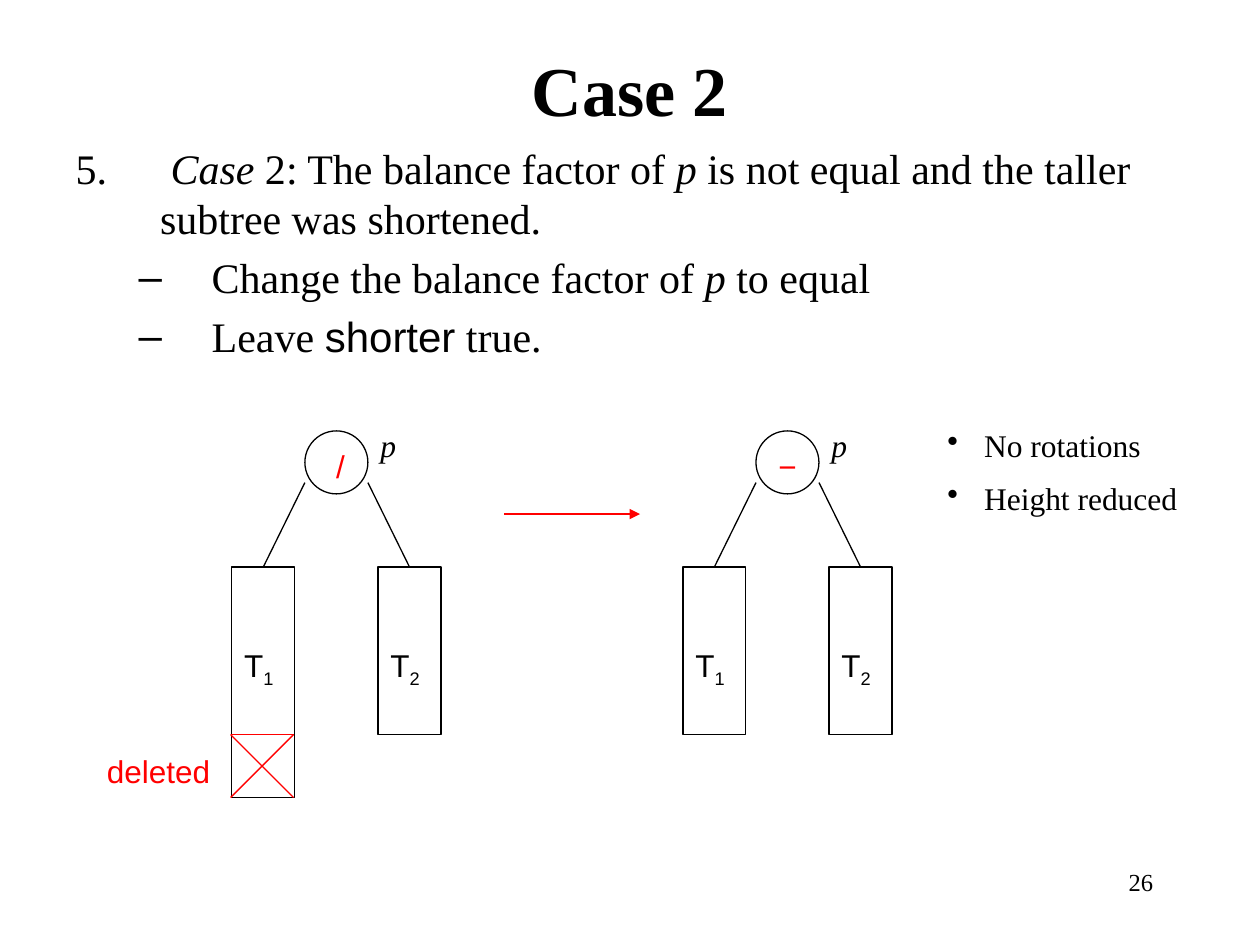
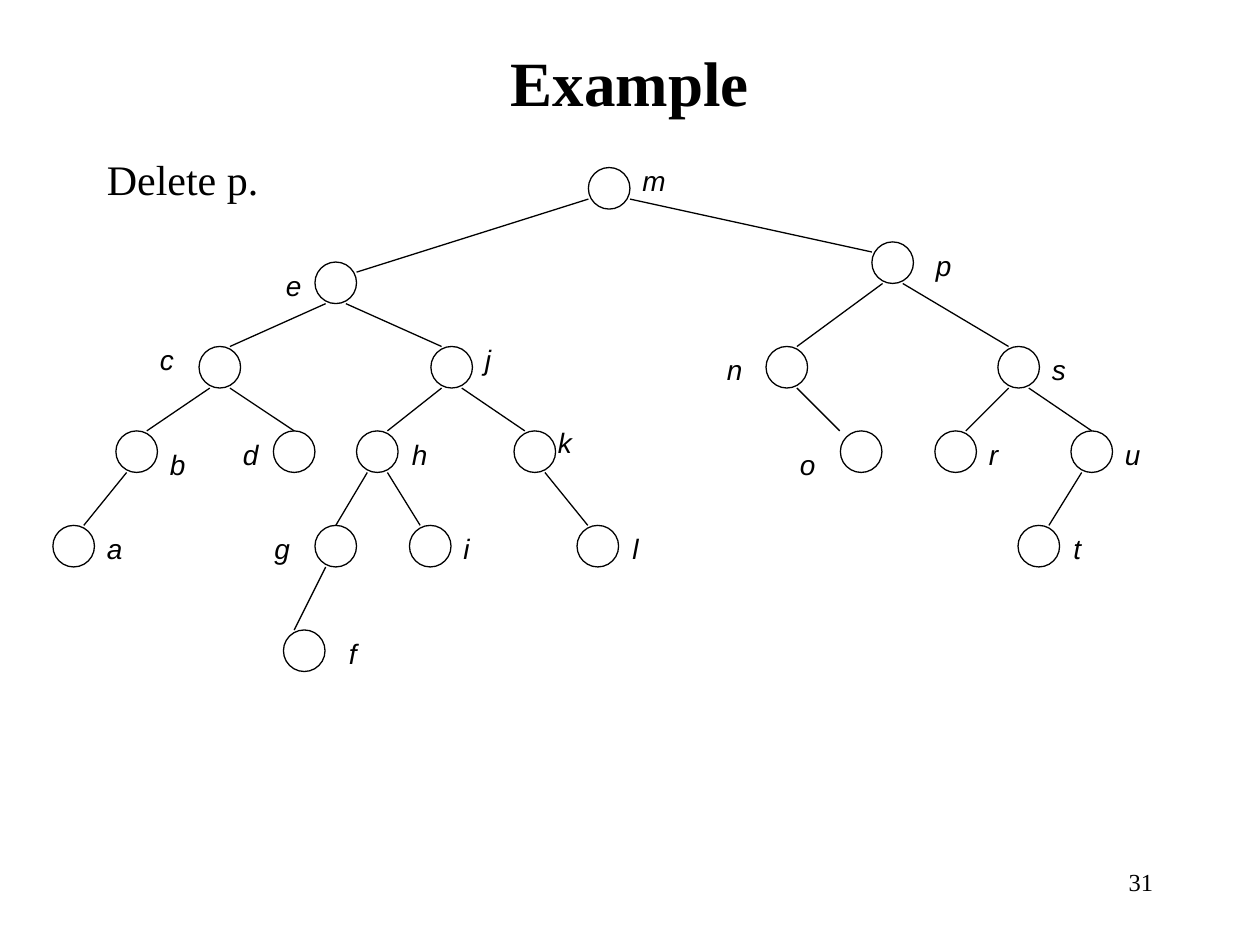
from pptx import Presentation
from pptx.dml.color import RGBColor
from pptx.enum.shapes import MSO_CONNECTOR, MSO_SHAPE
from pptx.enum.text import MSO_ANCHOR, MSO_AUTO_SIZE, PP_ALIGN
from pptx.oxml.ns import qn
from pptx.util import Inches, Pt
from lxml.etree import SubElement

BLACK = RGBColor(0x00, 0x00, 0x00)
RED = RGBColor(0xFF, 0x00, 0x00)
SERIF = "Times New Roman"
SANS = "Arial"
TITLE_AND_BODY, TITLE_ONLY = 1, 5

# Body paragraphs: level, left margin, hanging indent, runs as (text, style)
CASE_BODY = [
    (0, 0.67, 0.67, [
        (" ", ""), ("Case", "italic"), (" 2: The balance factor of ", ""), ("p", "italic"),
        (" is not equal and the taller subtree was shortened.", "")]),
    (1, 1.08, 0.58, [
        ("Change the balance factor of ", ""), ("p", "italic"), (" to equal", "")]),
    (1, 1.08, 0.58, [("Leave ", ""), ("shorter", "sans"), (" true.", "")]),
]
FIRST_NUMBER = 5
REMARKS = [" No rotations", " Height reduced"]

# Left edge of node p, balance sign, heights of T1 and T2
STATES = [
    (2.42, " /", (1.83, 1.33)),
    (6.00, "−", (1.33, 1.33)),
]
NODE_TOP, NODE_SIZE = 3.42, 0.5
SUBTREE_TOP, SUBTREE_WIDTH, SUBTREE_SHIFT = 4.5, 0.5, 0.58

# Tree nodes: name, parent, (left, top), (label left, label top)
TREE = [
    ("m", None, (4.67, 1.33), (5.00, 1.25)),
    ("e", "m", (2.50, 2.08), (2.17, 2.08)),
    ("p", "m", (6.92, 1.92), (7.33, 1.92)),
    ("c", "e", (1.58, 2.75), (1.17, 2.67)),
    ("j", "e", (3.42, 2.75), (3.75, 2.67)),
    ("n", "p", (6.08, 2.75), (5.67, 2.75)),
    ("s", "p", (7.92, 2.75), (8.25, 2.75)),
    ("b", "c", (0.92, 3.42), (1.25, 3.50)),
    ("d", "c", (2.17, 3.42), (1.83, 3.42)),
    ("h", "j", (2.83, 3.42), (3.17, 3.42)),
    ("k", "j", (4.08, 3.42), (4.33, 3.33)),
    ("o", "n", (6.67, 3.42), (6.25, 3.50)),
    ("r", "s", (7.42, 3.42), (7.75, 3.42)),
    ("u", "s", (8.50, 3.42), (8.83, 3.42)),
    ("a", "b", (0.42, 4.17), (0.75, 4.17)),
    ("g", "h", (2.50, 4.17), (2.08, 4.17)),
    ("i", "h", (3.25, 4.17), (3.58, 4.17)),
    ("l", "k", (4.58, 4.17), (4.92, 4.17)),
    ("t", "u", (8.08, 4.17), (8.42, 4.17)),
    ("f", "g", (2.25, 5.00), (2.67, 5.00)),
]
TREE_NODE = 0.33
EDGE_INSET = 0.08
# Distance from a child's centre towards its parent, where not EDGE_INSET
EDGE_ENDS = {"d": 0, "u": 0, "g": 0, "o": 0.17, "f": -0.08}


def place(shape, left, top, width, height):
    shape.left, shape.top = Inches(left), Inches(top)
    shape.width, shape.height = Inches(width), Inches(height)


def format_run(run, size, font=SERIF, color=BLACK, bold=None, italic=None):
    run.font.size = Pt(size)
    run.font.name = font
    run.font.color.rgb = color
    run.font.bold = bold
    run.font.italic = italic


def add_text(slide, box, lines, size, **style):
    """Add a text box with one paragraph per line and half a line before each."""
    shape = slide.shapes.add_textbox(*map(Inches, box))
    text_frame = shape.text_frame
    text_frame.word_wrap = True
    text_frame.text = "\n".join(lines)
    for paragraph in text_frame.paragraphs:
        properties = paragraph._p.get_or_add_pPr()
        spacing = SubElement(properties, qn("a:spcBef"))
        SubElement(spacing, qn("a:spcPct")).set("val", "50000")
        for run in paragraph.runs:
            format_run(run, size, **style)
    return text_frame


def set_indent(paragraph, margin, hanging):
    properties = paragraph._p.get_or_add_pPr()
    properties.set("marL", str(Inches(margin)))
    properties.set("indent", str(-Inches(hanging)))
    return properties


def add_outline(slide, kind, left, top, width, height):
    shape = slide.shapes.add_shape(kind, *map(Inches, (left, top, width, height)))
    shape.shadow.inherit = False
    shape.fill.background()
    shape.line.color.rgb = BLACK
    shape.line.width = Pt(0.75)


def add_line(slide, start, end, color=BLACK, arrow=False):
    line = slide.shapes.add_connector(MSO_CONNECTOR.STRAIGHT, *map(Inches, start + end))
    line.line.color.rgb = color
    line.line.width = Pt(0.75)
    if arrow:
        SubElement(line.line._get_or_add_ln(), qn("a:tailEnd")).set("type", "triangle")
    SubElement(line._element.spPr, qn("a:effectLst"))


def add_slide(presentation, layout, title, title_size, title_height, number):
    slide = presentation.slides.add_slide(presentation.slide_layouts[layout])
    place(slide.shapes.title, 0.75, 0.42, 8.5, title_height)
    text_frame = slide.shapes.title.text_frame
    text_frame.text = title
    text_frame.auto_size = MSO_AUTO_SIZE.NONE
    text_frame.vertical_anchor = MSO_ANCHOR.MIDDLE
    paragraph = text_frame.paragraphs[0]
    paragraph.alignment = PP_ALIGN.CENTER
    format_run(paragraph.runs[0], title_size, bold=True)
    footer = add_text(slide, (7.17, 6.83, 2.08, 0.5), [number], 14)
    footer.paragraphs[0].alignment = PP_ALIGN.RIGHT
    return slide


def fill_body(body):
    place(body, 0.5, 1.08, 9, 1.92)
    text_frame = body.text_frame
    text_frame.auto_size = MSO_AUTO_SIZE.NONE
    for index, (level, margin, hanging, runs) in enumerate(CASE_BODY):
        paragraph = text_frame.add_paragraph() if index else text_frame.paragraphs[0]
        paragraph.level = level
        properties = set_indent(paragraph, margin, hanging)
        if level == 0:
            numbering = SubElement(properties, qn("a:buAutoNum"))
            numbering.set("type", "arabicPeriod")
            numbering.set("startAt", str(FIRST_NUMBER))
        else:
            SubElement(properties, qn("a:buChar")).set("char", "–")
        for text, style in runs:
            run = paragraph.add_run()
            run.text = text
            format_run(run, 24, font=SANS if style == "sans" else SERIF,
                       italic=style == "italic")


def draw_state(slide, left, balance, heights):
    """Draw node p with its balance sign and the two subtrees below it."""
    add_outline(slide, MSO_SHAPE.OVAL, left, NODE_TOP, NODE_SIZE, NODE_SIZE)
    add_text(slide, (left + 0.08, 3.5, 0.42, 0.4), [balance], 18, font=SANS, color=RED)
    add_text(slide, (left + NODE_SIZE, 3.33, 0.58, 0.4), ["p"], 18, italic=True)
    for index, height in enumerate(heights):
        subtree_left = left + (2 * index - 1) * SUBTREE_SHIFT
        add_outline(slide, MSO_SHAPE.RECTANGLE, subtree_left, SUBTREE_TOP,
                    SUBTREE_WIDTH, height)
        add_line(slide, (left + index * NODE_SIZE, 3.83),
                 (subtree_left + SUBTREE_WIDTH / 2, SUBTREE_TOP))
        label = add_text(slide, (subtree_left, 5.08, 0.5, 0.4), ["T"], 18, font=SANS)
        subscript = label.paragraphs[0].add_run()
        subscript.text = str(index + 1)
        format_run(subscript, 18, font=SANS)
        subscript.font._element.set("baseline", "-25000")


def draw_deletion(slide):
    left, right, top, bottom = 1.83, 2.33, 5.83, 6.33
    add_line(slide, (left, top), (right, top), RED)
    add_line(slide, (left, top), (right, bottom), RED)
    add_line(slide, (right, top), (left, bottom), RED)
    add_text(slide, (0.75, 5.92, 1.17, 0.4), ["deleted"], 18, font=SANS, color=RED)


def add_remarks(slide):
    remarks = add_text(slide, (7.42, 3.33, 2.17, 0.85), REMARKS, 18)
    for paragraph in remarks.paragraphs:
        properties = set_indent(paragraph, 0.23, 0.23)
        SubElement(properties, qn("a:buChar")).set("char", "•")


def draw_edge(slide, name, parent, child, from_root):
    """Join two nodes: the root from its sides, the others from below."""
    (parent_left, parent_top), (child_left, child_top) = parent, child
    side = 1 if child_left > parent_left else -1
    half = TREE_NODE / 2
    if from_root:
        start_shift, end_shift = half, half
        start_y, end_y = parent_top + 0.25, child_top + EDGE_INSET
    else:
        start_shift, end_shift = EDGE_INSET, EDGE_ENDS.get(name, EDGE_INSET)
        start_y, end_y = parent_top + TREE_NODE, child_top
    add_line(slide, (parent_left + half + side * start_shift, start_y),
             (child_left + half - side * end_shift, end_y))


def draw_tree(slide):
    positions = {name: position for name, _, position, _ in TREE}
    root = TREE[0][0]
    for name, parent, position, label_position in TREE:
        add_outline(slide, MSO_SHAPE.OVAL, *position, TREE_NODE, TREE_NODE)
        if parent:
            draw_edge(slide, name, positions[parent], position, parent == root)
        add_text(slide, (*label_position, 0.58, 0.37), [name], 16, font=SANS, italic=True)


def build_case_slide(presentation):
    slide = add_slide(presentation, TITLE_AND_BODY, "Case 2", 40, 0.57, "26")
    fill_body(slide.placeholders[1])
    for state in STATES:
        draw_state(slide, *state)
    draw_deletion(slide)
    add_line(slide, (4, 4.08), (5.08, 4.08), RED, arrow=True)
    add_remarks(slide)


def build_example_slide(presentation):
    slide = add_slide(presentation, TITLE_ONLY, "Example", 36, 0.45, "31")
    draw_tree(slide)
    add_text(slide, (0.75, 1.17, 5.17, 0.5), ["Delete p."], 24)


def main():
    presentation = Presentation()
    presentation.slide_width, presentation.slide_height = Inches(10), Inches(7.5)
    build_case_slide(presentation)
    build_example_slide(presentation)
    presentation.save("out.pptx")


if __name__ == "__main__":
    main()
